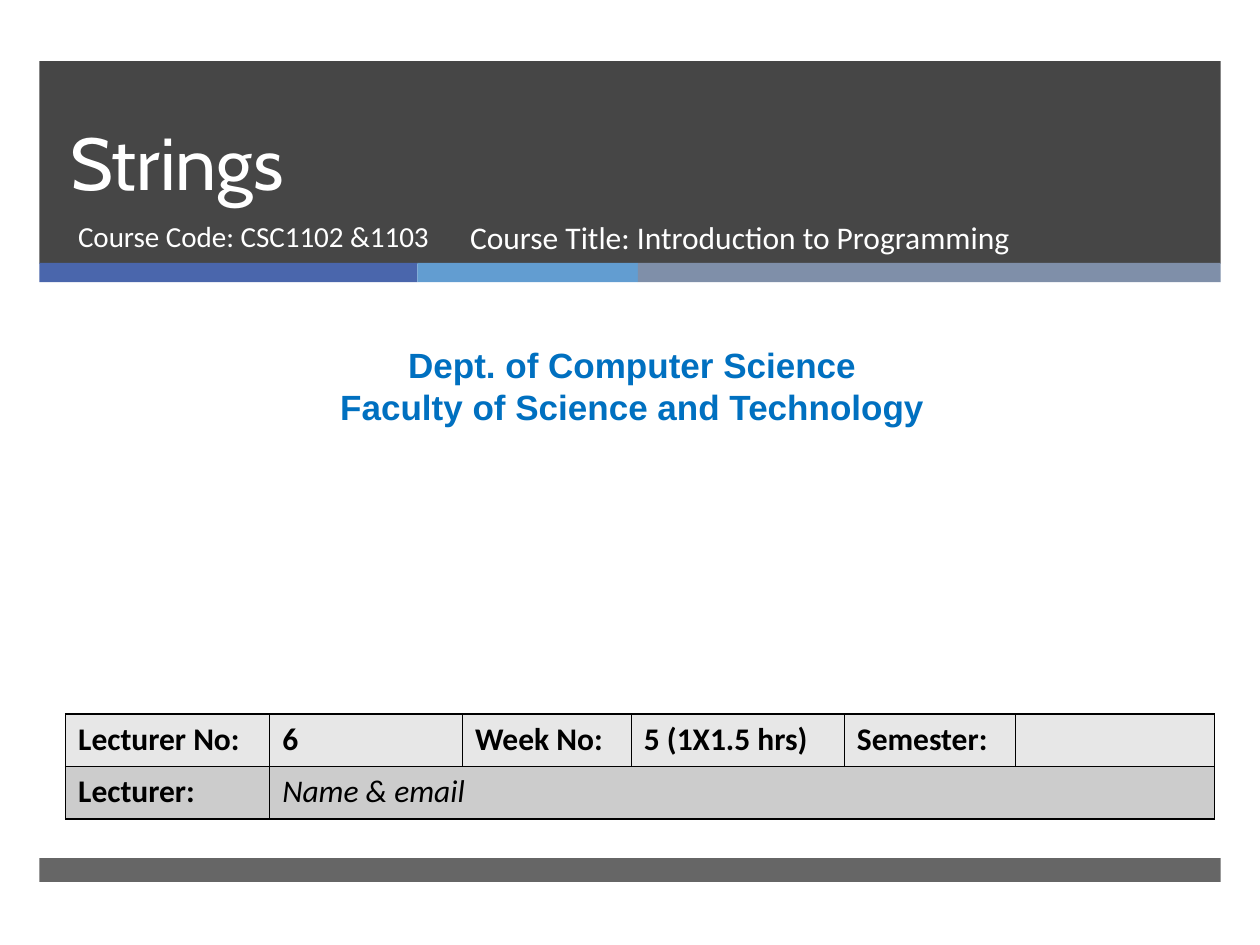
from lxml.etree import SubElement
from pptx import Presentation
from pptx.dml.color import RGBColor
from pptx.enum.shapes import MSO_SHAPE as SHAPE
from pptx.enum.text import MSO_ANCHOR as ANCHOR, PP_ALIGN as ALIGN
from pptx.oxml.ns import qn
from pptx.util import Pt

COLORS = {"dark": "262626", "blue": "4A66AC", "sky": "629DD1", "slate": "7F8FA9",
          "white": "FFFFFF", "dept": "0070C0", "black": "000000",
          "row_light": "E7E7E7", "row_dark": "CCCCCC"}


def rgb(name):
    """Return the named colour."""
    return RGBColor.from_string(COLORS[name])


def add_bar(s, x, y, w, h, color, opacity=100):
    """Add a borderless rectangle with the given opacity in percent."""
    sp = s.shapes.add_shape(SHAPE.RECTANGLE, Pt(x), Pt(y), Pt(w), Pt(h))
    sp.shadow.inherit = False
    sp.line.fill.background()
    sp.fill.solid()
    sp.fill.fore_color.rgb = rgb(color)
    if opacity < 100:
        clr = sp._element.spPr.find(qn("a:solidFill"))[0]
        SubElement(clr, qn("a:alpha"), val=str(opacity * 1000))


def style(p, size, font, color, bold=False, italic=False):
    """Set the font of a paragraph."""
    f = p.font
    f.size, f.name, f.bold, f.italic = Pt(size), font, bold, italic
    f.color.rgb = rgb(color)


def add_text(s, x, y, w, h, lines, size, font, color, bold=False,
             align=ALIGN.LEFT, anchor=ANCHOR.TOP, spacing=None):
    """Add a wrapped text box with one paragraph per line."""
    tf = s.shapes.add_textbox(Pt(x), Pt(y), Pt(w), Pt(h)).text_frame
    tf.word_wrap = True
    tf.vertical_anchor = anchor
    tf.text = "\n".join(lines)
    for p in tf.paragraphs:
        p.alignment = align
        if spacing:
            p.line_spacing = Pt(spacing)
        style(p, size, font, color, bold)


def add_header(s, x, y, w, h):
    """Draw the title band, its three-colour stripe and the course lines."""
    add_bar(s, x, y, w, h, "dark", 85)
    left = x
    for part, color in ((216, "blue"), (126, "sky"), (w - 342, "slate")):
        add_bar(s, left, y + h - 0.5, part, 11, color)
        left += part
    add_text(s, x + 10.5, y, 615, 86, ["Strings"], 42, "Cabin", "white",
             anchor=ANCHOR.BOTTOM, spacing=46)
    add_text(s, x + 15, y + 86, 231, 38, ["Course Code: CSC1102 &1103"],
             16.6, "Calibri", "white")
    add_text(s, x + 239, y + 86, 328, 38, ["Course Title: Introduction to Programming"],
             18, "Calibri", "white")


def add_department(s, x, y, w, h):
    """Write the centred department and faculty lines."""
    add_text(s, x, y, w, h, ["Dept. of Computer Science", "Faculty of Science and Technology"],
             20, "Arial", "dept", bold=True, align=ALIGN.CENTER)


def set_borders(cell):
    """Give a cell 1 pt black borders on all sides."""
    tcPr = cell._tc.get_or_add_tcPr()
    for i, side in enumerate(("lnL", "lnR", "lnT", "lnB")):
        ln = tcPr.makeelement(qn(f"a:{side}"), {"w": str(Pt(1))})
        fill = SubElement(ln, qn("a:solidFill"))
        SubElement(fill, qn("a:srgbClr"), val=COLORS["black"])
        tcPr.insert(i, ln)


def add_lecture_table(s, x, y, w, h):
    """Add the table of lecture details."""
    rows = (("Lecturer No:", "6", "Week No:", "5 (1X1.5 hrs)", "Semester:", ""),
            ("Lecturer:", "Name & email", "", "", "", ""))
    widths = (116.6, 110.2, 96.5, 121.7, 97.9, 113.8)
    table = s.shapes.add_table(len(rows), len(widths), Pt(x), Pt(y), Pt(w), Pt(h)).table
    for column, width in zip(table.columns, widths):
        column.width = Pt(width)
    for r, (texts, fill) in enumerate(zip(rows, ("row_light", "row_dark"))):
        for c, text in enumerate(texts):
            cell = table.cell(r, c)
            cell.text = text
            cell.fill.solid()
            cell.fill.fore_color.rgb = rgb(fill)
            set_borders(cell)
            is_name = r == 1 and c == 1
            style(cell.text_frame.paragraphs[0], 18, "Calibri", "black",
                  bold=not is_name, italic=is_name)
    table.cell(1, 1).merge(table.cell(1, 5))


def main():
    """Build the title slide and save it."""
    prs = Presentation()
    prs.slide_width, prs.slide_height = Pt(720), Pt(540)
    s = prs.slides.add_slide(prs.slide_layouts[6])
    add_header(s, 22.5, 35, 675, 115.7)
    add_bar(s, 22.5, 490.3, 675, 13.7, "dark", 70)
    add_department(s, 6, 193, 710.5, 55.5)
    add_lecture_table(s, 37.5, 408, 656.7, 60)
    prs.save("out.pptx")


if __name__ == "__main__":
    main()
